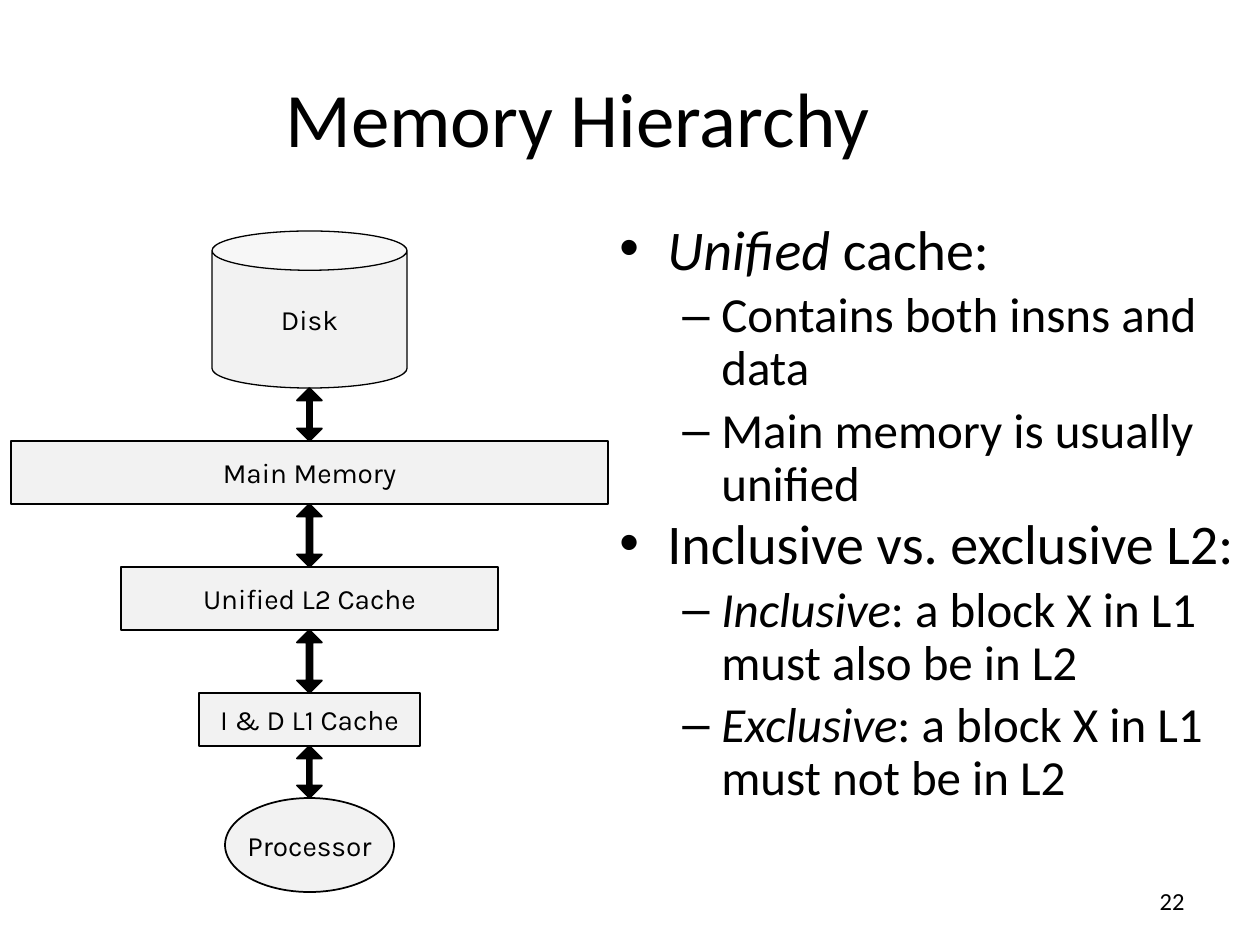
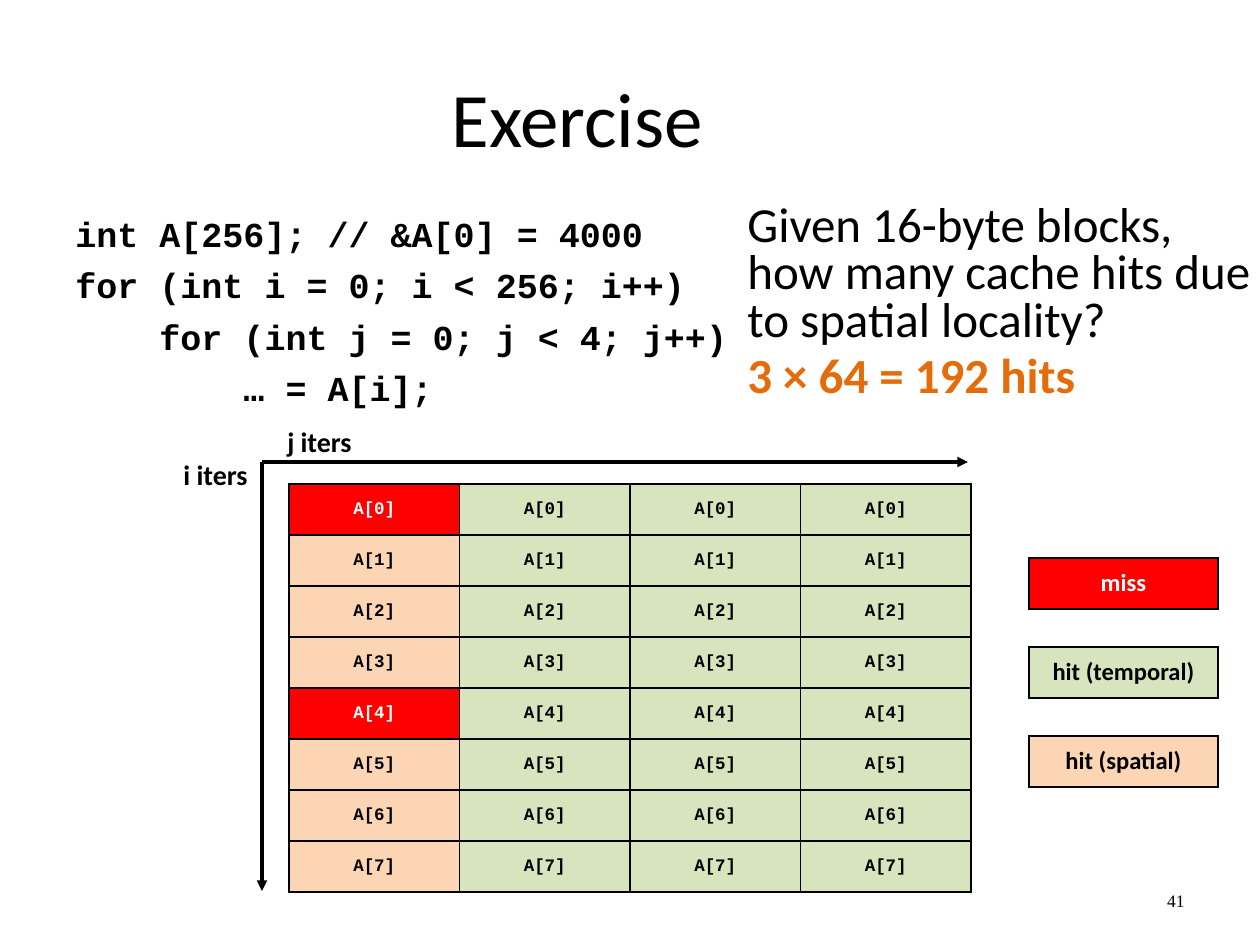
from lxml import etree
from pptx import Presentation, util as u
from pptx.dml.color import RGBColor
from pptx.enum import shapes, text
from pptx.oxml import ns

BLACK, WHITE, GREY, ORANGE = "000000", "FFFFFF", "F2F2F2", "E46C0A"
MISS, TEMPORAL, SPATIAL = "FF0000", "D7E4BD", "FCD5B5"
BODY, CODE, LABEL = "Calibri", "Courier New", "Karla"
LEFT, CENTER, RIGHT = text.PP_ALIGN.LEFT, text.PP_ALIGN.CENTER, text.PP_ALIGN.RIGHT
TOP, MIDDLE = text.MSO_ANCHOR.TOP, text.MSO_ANCHOR.MIDDLE
SHAPE = shapes.MSO_SHAPE

TITLE_BOX = (63, 38, 1029, 158)
NUMBER_BOX = (1050, 876, 147, 50)
SPACE_BEFORE = 5.5

# Slide 1: name, shape, top, width, height, line width
AXIS_X = 309
LEVELS = [
    ("Disk", SHAPE.CAN, 231, 195, 157, 0.75),
    ("Main Memory", SHAPE.RECTANGLE, 441, 597, 63, 1),
    ("Unified L2 Cache", SHAPE.RECTANGLE, 567, 377, 63, 1),
    ("I & D L1 Cache", SHAPE.RECTANGLE, 693, 221, 53, 1),
    ("Processor", SHAPE.OVAL, 798, 169, 94, 1),
]
ARROW_W = 25
# bullet, left margin, hanging indent, size, line spacing
BULLETS = [("•", 48, 48, 32, 0.8), ("–", 102, 39, 28, 0.9)]
# level, italic opening, rest
NOTES = [
    (0, "Unified", " cache:"),
    (1, "", "Contains both insns and data"),
    (1, "", "Main memory is usually unified"),
    (0, "", "Inclusive vs. exclusive L2:"),
    (1, "Inclusive", ": a block X in L1 must also be in L2"),
    (1, "Exclusive", ": a block X in L1 must not be in L2"),
]
NOTES_BOX = (607, 221, 643, 624)

# Slide 2
CODE_LINES = [
    "int A[256]; // &A[0] = 4000",
    "for (int i = 0; i < 256; i++)",
    "    for (int j = 0; j < 4; j++)",
    "        … = A[i];",
]
CODE_BOX = (63, 199, 1134, 221)
QUESTION = "Given 16-byte blocks, how many cache hits due to spatial locality?"
ANSWER = "3 × 64 = 192 hits"
QUESTION_BOX = (735, 199, 536, 294)
I_COUNT, J_COUNT, BLOCK = 8, 4, 4
GRID_X, GRID_Y, GRID_W, ROW_H = 289, 484, 682, 51
ORIGIN = (262, 462)
# label, label box, end of axis
AXES = [("i iters", (168, 451, 95, 47), (262, 891)),
        ("j iters", (272, 418, 95, 47), (968, 462))]
LEGEND = [("miss", MISS), ("hit (temporal)", TEMPORAL), ("hit (spatial)", SPATIAL)]
LEGEND_X, LEGEND_Y, LEGEND_W, LEGEND_STEP = 1029, 558, 189, 89


def px(n):
    return u.Emu(round(n * 914400 / 126))


def box_emu(box):
    return [px(n) for n in box]


def rgb(color):
    return RGBColor.from_string(color)


def sub(parent, tag, **attrs):
    return etree.SubElement(parent, ns.qn(tag), attrs)


def add_run(p, content, size, font=BODY, color=BLACK, bold=False, italic=False):
    r = p.add_run()
    r.text = content
    f = r.font
    f.size, f.name, f.bold, f.italic = u.Pt(size), font, bold, italic
    f.color.rgb = rgb(color)


def next_paragraph(tf, align=LEFT, spacing=None):
    """Return the empty first paragraph, or a new one set off from the last."""
    p = tf.paragraphs[0]
    if p.runs:
        p = tf.add_paragraph()
        p.space_before = u.Pt(SPACE_BEFORE)
    p.alignment = align
    if spacing:
        p.line_spacing = spacing
    return p


def add_text_box(s, box, anchor=TOP):
    tf = s.shapes.add_textbox(*box_emu(box)).text_frame
    tf.word_wrap, tf.vertical_anchor = True, anchor
    return tf


def add_slide(prs, title, number, number_size, number_font):
    s = prs.slides.add_slide(prs.slide_layouts[5])
    sp = s.shapes.title
    sp.left, sp.top, sp.width, sp.height = box_emu(TITLE_BOX)
    sp.text_frame.vertical_anchor = MIDDLE
    add_run(next_paragraph(sp.text_frame, CENTER), title, 44)
    tf = add_text_box(s, NUMBER_BOX, MIDDLE)
    add_run(next_paragraph(tf, RIGHT), number, number_size, number_font)
    return s


def add_figure(s, kind, box, fill, line_width):
    sp = s.shapes.add_shape(kind, *box_emu(box))
    sp.shadow.inherit = False
    sp.fill.solid()
    sp.fill.fore_color.rgb = rgb(fill)
    sp.line.color.rgb = rgb(BLACK)
    sp.line.width = u.Pt(line_width)
    return sp


def add_axis(s, end):
    c = s.shapes.add_connector(shapes.MSO_CONNECTOR.STRAIGHT, *box_emu(ORIGIN + end))
    c.line.color.rgb = rgb(BLACK)
    c.line.width = u.Pt(2)
    sub(c.line._get_or_add_ln(), "a:tailEnd", type="triangle")
    sub(c._element.spPr, "a:effectLst")


def fill_cell(cell, content, fill, size, font):
    tc_pr = cell._tc.get_or_add_tcPr()
    for side in ("a:lnL", "a:lnR", "a:lnT", "a:lnB"):
        ln = sub(tc_pr, side, w=str(u.Pt(1)))
        sub(sub(ln, "a:solidFill"), "a:srgbClr", val=BLACK)
    cell.fill.solid()
    cell.fill.fore_color.rgb = rgb(fill)
    cell.vertical_anchor = MIDDLE
    color = WHITE if fill == MISS else BLACK
    add_run(next_paragraph(cell.text_frame, CENTER), content, size, font, color, bold=True)


def add_grid(s, left, top, width, rows, size, font):
    """Add a table whose rows are lists of (text, fill)."""
    box = (left, top, width, ROW_H * len(rows))
    table = s.shapes.add_table(len(rows), len(rows[0]), *box_emu(box)).table
    table.first_row = table.horz_banding = False
    for column in table.columns:
        column.width = px(width / len(rows[0]))
    for i, row in enumerate(rows):
        table.rows[i].height = px(ROW_H)
        for j, (content, fill) in enumerate(row):
            fill_cell(table.cell(i, j), content, fill, size, font)


def access_kind(i, j):
    if j:
        return TEMPORAL
    return SPATIAL if i % BLOCK else MISS


def build_hierarchy(prs):
    s = add_slide(prs, "Memory Hierarchy", "22", 14, BODY)

    tf = add_text_box(s, NOTES_BOX)
    for level, opening, rest in NOTES:
        bullet, margin, hang, size, spacing = BULLETS[level]
        p = next_paragraph(tf, spacing=spacing)
        p.level = level
        p_pr = p._p.get_or_add_pPr()
        p_pr.set("marL", str(px(margin)))
        p_pr.set("indent", str(-px(hang)))
        sub(p_pr, "a:buFont", typeface="Arial")
        sub(p_pr, "a:buChar", char=bullet)
        if opening:
            add_run(p, opening, size, italic=True)
        add_run(p, rest, size)

    for name, kind, top, width, height, line_width in LEVELS:
        sp = add_figure(s, kind, (AXIS_X - width // 2, top, width, height), GREY, line_width)
        tf = sp.text_frame
        tf.word_wrap, tf.vertical_anchor = False, MIDDLE
        add_run(next_paragraph(tf, CENTER), name, 16, LABEL)

    for upper, lower in zip(LEVELS, LEVELS[1:]):
        top = upper[2] + upper[4]
        gap = lower[2] - top
        arrow = add_figure(s, SHAPE.UP_DOWN_ARROW,
                           (AXIS_X - ARROW_W // 2, top, ARROW_W, gap), BLACK, 1)
        arrow.adjustments[0] = 0.5
        arrow.adjustments[1] = gap / 263


def build_exercise(prs):
    s = add_slide(prs, "Exercise", "41", 10, "Times New Roman")

    tf = add_text_box(s, CODE_BOX)
    tf.margin_top = px(13)
    for line in CODE_LINES:
        add_run(next_paragraph(tf), line, 20, CODE, bold=True)

    rows = [[(f"A[{i}]", access_kind(i, j)) for j in range(J_COUNT)] for i in range(I_COUNT)]
    add_grid(s, GRID_X, GRID_Y, GRID_W, rows, 10, CODE)

    for label, box, end in AXES:
        add_axis(s, end)
        add_run(next_paragraph(add_text_box(s, box), CENTER), label, 16, bold=True)

    tf = add_text_box(s, QUESTION_BOX)
    add_run(next_paragraph(tf, spacing=0.8), QUESTION, 28)
    add_run(next_paragraph(tf, spacing=0.8), ANSWER, 28, color=ORANGE, bold=True)

    for k, entry in enumerate(LEGEND):
        add_grid(s, LEGEND_X, LEGEND_Y + k * LEGEND_STEP, LEGEND_W, [[entry]], 14, BODY)


def main():
    prs = Presentation()
    prs.slide_width, prs.slide_height = px(1260), px(945)
    build_hierarchy(prs)
    build_exercise(prs)
    prs.save("out.pptx")


if __name__ == "__main__":
    main()
